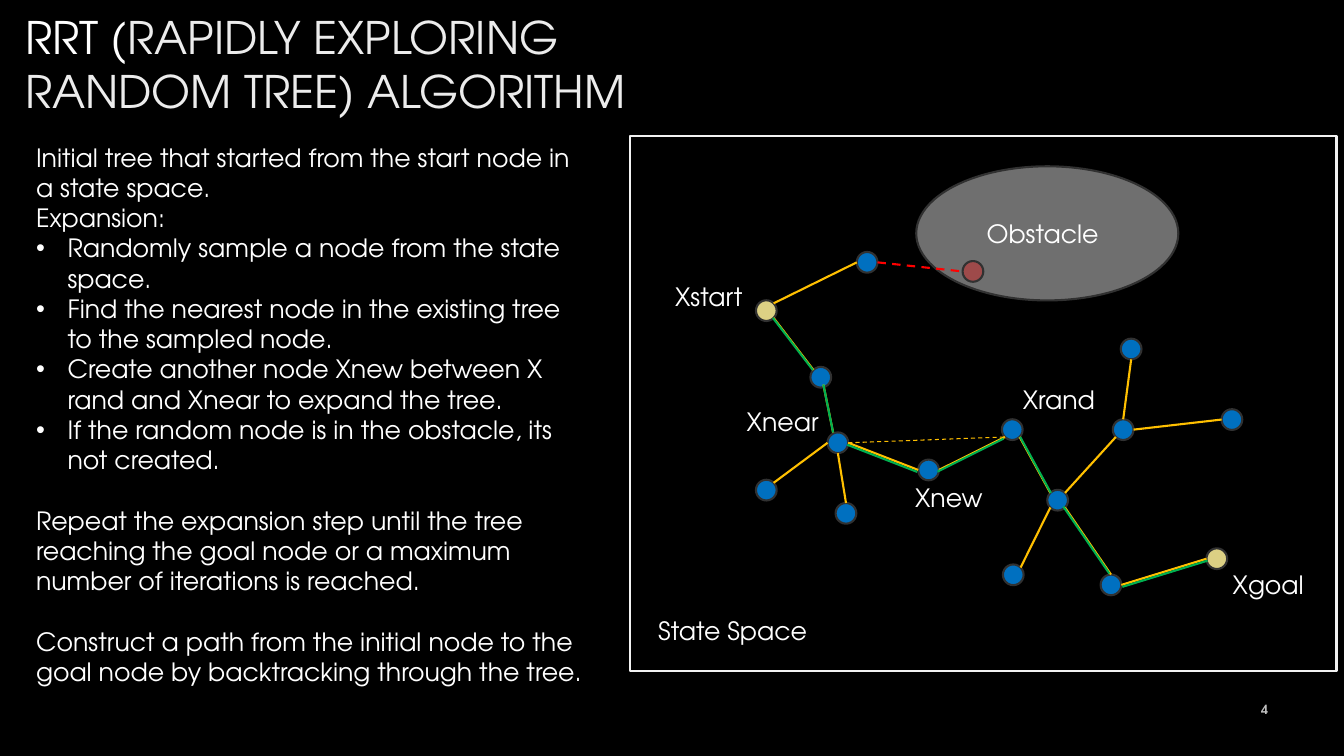
"""Build the slide explaining the RRT path planning algorithm."""
from dataclasses import dataclass
from math import sqrt

from lxml import etree
from pptx import Presentation
from pptx.dml.color import RGBColor
from pptx.enum.dml import MSO_LINE
from pptx.enum.shapes import MSO_CONNECTOR, MSO_SHAPE
from pptx.enum.text import MSO_ANCHOR, PP_ALIGN
from pptx.oxml.ns import qn
from pptx.util import Pt

OVAL, RECTANGLE = MSO_SHAPE.OVAL, MSO_SHAPE.RECTANGLE
STRAIGHT, DASH = MSO_CONNECTOR.STRAIGHT, MSO_LINE.DASH
TOP, MIDDLE = MSO_ANCHOR.TOP, MSO_ANCHOR.MIDDLE
LEFT, RIGHT = PP_ALIGN.LEFT, PP_ALIGN.RIGHT


@dataclass(frozen=True)
class Theme:
    font: str = "TeX Gyre Adventor"
    background: str = "000000"
    text: str = "FFFFFF"
    title: str = "ECECEC"
    page: str = "BFBFBF"
    frame: str = "F2F2F2"
    obstacle: str = "6F6F6F"
    outline: str = "313131"
    node: str = "0070C0"
    terminal: str = "DCD084"
    rejected: str = "FF0000"
    branch: str = "FFC000"
    route: str = "00B050"
    title_size: float = 32
    body_size: float = 18
    page_size: float = 9
    stroke: float = 1.5
    thin_stroke: float = 0.75


@dataclass(frozen=True)
class Box:
    left: float
    top: float
    width: float
    height: float


@dataclass(frozen=True)
class Node:
    x: float
    y: float
    color: str
    opacity: int = 100


@dataclass(frozen=True)
class Edge:
    start: str
    start_side: str
    end: str
    end_side: str
    color: str
    dx: float = 0
    dy: float = 0
    width: float = 1.5
    dashed: bool = False


@dataclass(frozen=True)
class Label:
    text: str
    box: Box


@dataclass(frozen=True)
class Passage:
    text: str
    bulleted: bool = False
    space_before: float = 0


THEME = Theme()
NODE_RADIUS = 7.4
BULLET_INDENT = 22.5
SECTION_GAP = 21.6
DIAGONAL = 1 / sqrt(2)
SIDES = {
    "N": (0, -1), "S": (0, 1), "W": (-1, 0), "E": (1, 0),
    "NW": (-DIAGONAL, -DIAGONAL), "NE": (DIAGONAL, -DIAGONAL),
    "SW": (-DIAGONAL, DIAGONAL), "SE": (DIAGONAL, DIAGONAL),
}
NODES = {
    "start": Node(547.4, 221.9, THEME.terminal),
    "south leaf": Node(604.3, 366.7, THEME.node),
    "waypoint": Node(586.3, 269.5, THEME.node),
    "near": Node(598.5, 316.3, THEME.node),
    "upper leaf": Node(619.4, 187.4, THEME.node),
    "west leaf": Node(547.4, 350.1, THEME.node),
    "rand": Node(723.1, 306.9, THEME.node),
    "goal": Node(869.2, 399.1, THEME.terminal),
    "blocked": Node(695, 193.9, THEME.rejected, 33),
    "new": Node(663.3, 335.7, THEME.node),
    "last": Node(793.6, 417.8, THEME.node),
    "lower leaf": Node(723.8, 410.6, THEME.node),
    "junction": Node(755.5, 357.3, THEME.node),
    "fork": Node(802.3, 306.9, THEME.node),
    "top leaf": Node(808, 249.3, THEME.node),
    "east leaf": Node(880, 299.7, THEME.node),
}
BRANCHES = [
    Edge("start", "SE", "waypoint", "NW", THEME.branch),
    Edge("waypoint", "SE", "near", "N", THEME.branch, dx=-3.4),
    Edge("near", "W", "west leaf", "NE", THEME.branch),
    Edge("near", "S", "south leaf", "N", THEME.branch),
    Edge("near", "E", "new", "W", THEME.branch),
    Edge("new", "E", "rand", "SW", THEME.branch),
    Edge("near", "E", "rand", "SW", THEME.branch, width=THEME.thin_stroke, dashed=True),
    Edge("rand", "SE", "junction", "NW", THEME.branch),
    Edge("junction", "SW", "lower leaf", "NE", THEME.branch),
    Edge("junction", "SE", "last", "N", THEME.branch),
    Edge("last", "E", "goal", "W", THEME.branch),
    Edge("junction", "NE", "fork", "SW", THEME.branch),
    Edge("top leaf", "S", "fork", "N", THEME.branch),
    Edge("fork", "E", "east leaf", "W", THEME.branch),
    Edge("start", "NE", "upper leaf", "W", THEME.branch),
    Edge("upper leaf", "E", "blocked", "W", THEME.rejected, dashed=True),
]
ROUTE = [
    Edge("start", "SE", "waypoint", "NW", THEME.route, dx=-0.5),
    Edge("waypoint", "SE", "near", "N", THEME.route, dx=-3.4),
    Edge("near", "E", "new", "W", THEME.route, dx=-0.7, dy=1.4),
    Edge("new", "E", "rand", "SW", THEME.route, dx=-1, dy=1.2),
    Edge("rand", "SE", "junction", "NW", THEME.route, dx=0.4),
    Edge("junction", "SE", "last", "N", THEME.route, dx=-1.2, dy=-0.7),
    Edge("last", "E", "goal", "W", THEME.route, dx=0.7, dy=1.4),
]
LABELS = [
    Label("Xstart", Box(475.2, 197.3, 62.6, 29)),
    Label("Xrand", Box(723.6, 270.7, 67, 29)),
    Label("Xnew", Box(646.6, 341.3, 64, 29)),
    Label("Xnear", Box(526.3, 286.6, 66.2, 29)),
    Label("Obstacle", Box(697.7, 152.6, 95.8, 29)),
    Label("Xgoal", Box(873.4, 403.2, 65.5, 29)),
    Label("State Space", Box(463, 435.6, 122.4, 29)),
]
STEPS = [
    Passage("Initial tree that started from the start node in a state space."),
    Passage("Expansion:"),
    Passage("Randomly sample a node from the state space.", True),
    Passage("Find the nearest node in the existing tree to the sampled node.", True),
    Passage("Create another node Xnew between X rand and Xnear to expand the tree.", True),
    Passage("If the random node is in the obstacle, its not created.", True),
    Passage("Repeat the expansion step until the tree reaching the goal node or a maximum "
            "number of iterations is reached.", space_before=SECTION_GAP),
    Passage("Construct a path from the initial node to the goal node by backtracking "
            "through the tree.", space_before=SECTION_GAP),
]


def add_outlined(slide, kind, box: Box, fill: str | None, line: str):
    shape = slide.shapes.add_shape(kind, Pt(box.left), Pt(box.top), Pt(box.width), Pt(box.height))
    shape.shadow.inherit = False
    if fill:
        shape.fill.solid()
        shape.fill.fore_color.rgb = RGBColor.from_string(fill)
    else:
        shape.fill.background()
    shape.line.color.rgb = RGBColor.from_string(line)
    shape.line.width = Pt(THEME.stroke)
    return shape


def add_node(slide, node: Node) -> None:
    box = Box(node.x - NODE_RADIUS, node.y - NODE_RADIUS, 2 * NODE_RADIUS, 2 * NODE_RADIUS)
    circle = add_outlined(slide, OVAL, box, node.color, THEME.outline)
    if node.opacity < 100:
        tint = circle.fill._xPr.find(qn("a:solidFill"))[0]
        etree.SubElement(tint, qn("a:alpha"), val=str(node.opacity * 1000))


def rim_point(edge: Edge, name: str, side: str) -> tuple[int, int]:
    node, (across, down) = NODES[name], SIDES[side]
    return (Pt(node.x + across * NODE_RADIUS + edge.dx),
            Pt(node.y + down * NODE_RADIUS + edge.dy))


def add_edge(slide, edge: Edge) -> None:
    link = slide.shapes.add_connector(
        STRAIGHT, *rim_point(edge, edge.start, edge.start_side),
        *rim_point(edge, edge.end, edge.end_side))
    link.line.color.rgb = RGBColor.from_string(edge.color)
    link.line.width = Pt(edge.width)
    if edge.dashed:
        link.line.dash_style = DASH
    etree.SubElement(link._element.spPr, qn("a:effectLst"))


def add_text(slide, box: Box, wrap: bool = True, anchor=TOP):
    frame = slide.shapes.add_textbox(
        Pt(box.left), Pt(box.top), Pt(box.width), Pt(box.height)).text_frame
    frame.word_wrap = wrap
    frame.vertical_anchor = anchor
    return frame


def style(paragraph, size: float, color: str, align=LEFT) -> None:
    paragraph.alignment = align
    paragraph.font.name = THEME.font
    paragraph.font.size = Pt(size)
    paragraph.font.color.rgb = RGBColor.from_string(color)


def add_label(slide, label: Label) -> None:
    caption = add_text(slide, label.box, wrap=False).paragraphs[0]
    caption.text = label.text
    style(caption, THEME.body_size, THEME.text)


def add_title(slide) -> None:
    heading = add_text(slide, Box(10.8, -5.8, 522.7, 103), anchor=MIDDLE).paragraphs[0]
    style(heading, THEME.title_size, THEME.title)
    acronym = heading.add_run()
    acronym.text = "RRT ("
    acronym.font.color.rgb = RGBColor.from_string(THEME.text)
    heading.add_run().text = "RAPIDLY EXPLORING RANDOM TREE) ALGORITHM"


def add_steps(slide) -> None:
    frame = add_text(slide, Box(18.7, 97.9, 408.2, 399.6))
    for index, passage in enumerate(STEPS):
        step = frame.add_paragraph() if index else frame.paragraphs[0]
        step.text = passage.text
        if passage.space_before:
            step.space_before = Pt(passage.space_before)
        if passage.bulleted:
            properties = step._p.get_or_add_pPr()
            properties.set("marL", str(Pt(BULLET_INDENT)))
            properties.set("indent", str(-Pt(BULLET_INDENT)))
            etree.SubElement(properties, qn("a:buFont"), typeface="Arial")
            etree.SubElement(properties, qn("a:buChar"), char="•")
        style(step, THEME.body_size, THEME.text)


def add_page_number(slide) -> None:
    number = add_text(slide, Box(869.8, 492.5, 43.2, 28.8), anchor=MIDDLE).paragraphs[0]
    number.text = "4"
    style(number, THEME.page_size, THEME.page, RIGHT)
    number.font.bold = True


def main() -> None:
    deck = Presentation()
    deck.slide_width, deck.slide_height = Pt(960), Pt(540)
    slide = deck.slides.add_slide(deck.slide_layouts[6])
    slide.background.fill.solid()
    slide.background.fill.fore_color.rgb = RGBColor.from_string(THEME.background)
    add_outlined(slide, OVAL, Box(654.5, 118.8, 187.2, 95.8), THEME.obstacle, THEME.outline)
    add_title(slide)
    for node in NODES.values():
        add_node(slide, node)
    for edge in BRANCHES + ROUTE:
        add_edge(slide, edge)
    add_outlined(slide, RECTANGLE, Box(450, 97.2, 504.7, 382.3), None, THEME.frame)
    for label in LABELS:
        add_label(slide, label)
    add_steps(slide)
    add_page_number(slide)
    deck.save("out.pptx")


if __name__ == "__main__":
    main()
